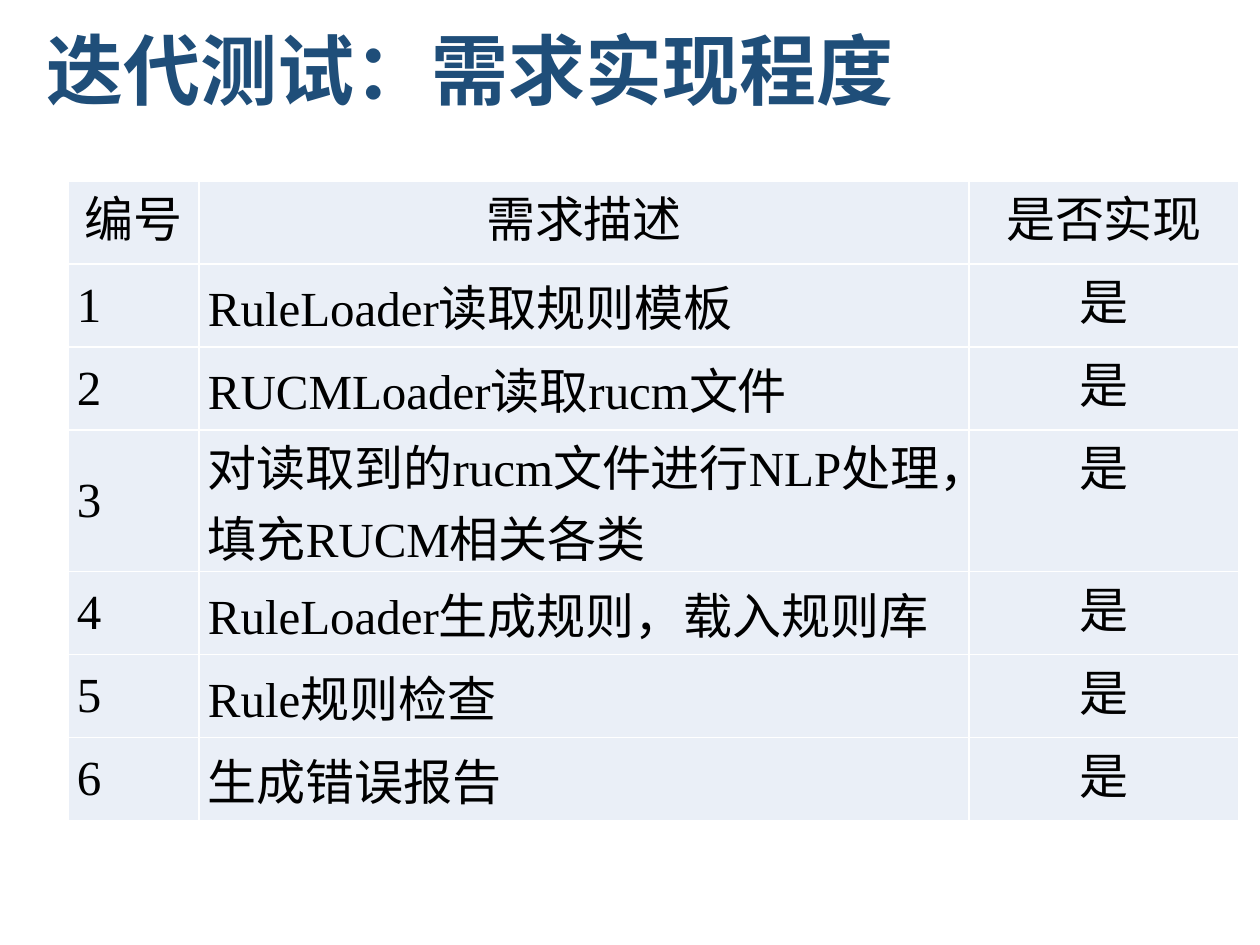
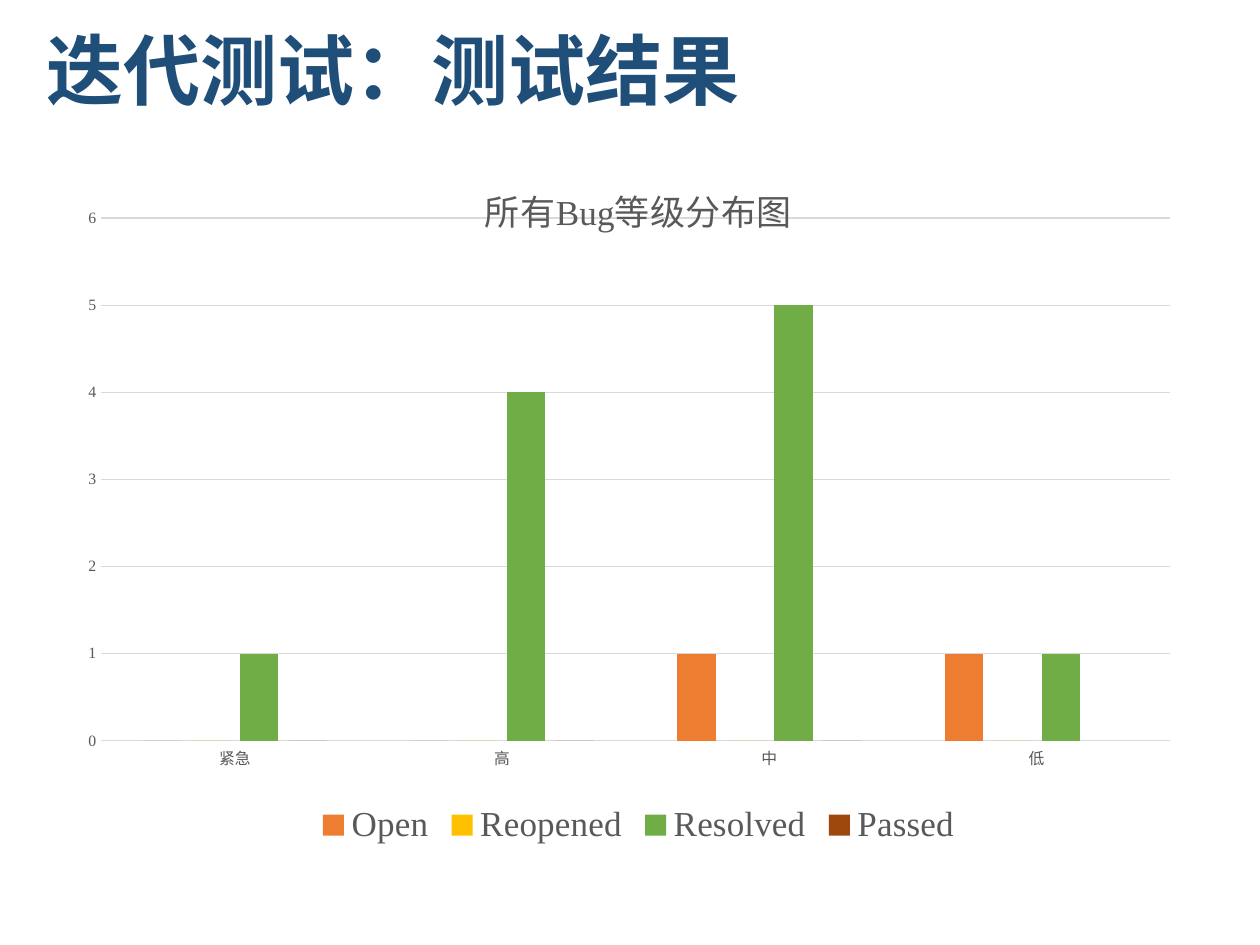
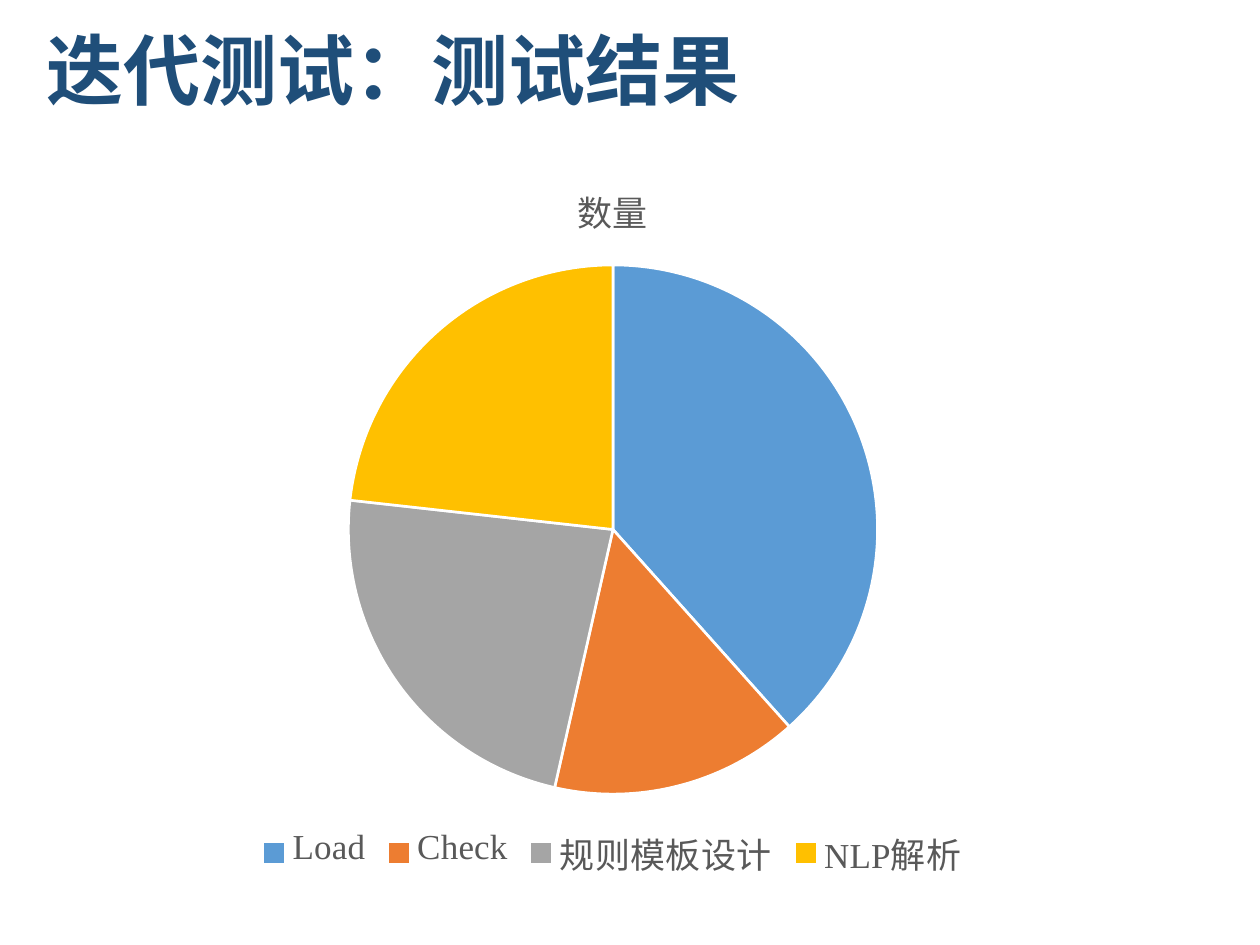
from lxml import etree
from pptx import Presentation
from pptx.chart.data import CategoryChartData
from pptx.dml.color import RGBColor
from pptx.enum.chart import XL_CHART_TYPE, XL_LEGEND_POSITION, XL_TICK_MARK
from pptx.enum.text import MSO_ANCHOR, PP_ALIGN
from pptx.oxml.ns import qn
from pptx.util import Emu, Pt

COLUMN_CLUSTERED = XL_CHART_TYPE.COLUMN_CLUSTERED
PIE = XL_CHART_TYPE.PIE
LEGEND_BOTTOM = XL_LEGEND_POSITION.BOTTOM
NO_TICK = XL_TICK_MARK.NONE
MIDDLE, TOP = MSO_ANCHOR.MIDDLE, MSO_ANCHOR.TOP
LEFT, CENTER = PP_ALIGN.LEFT, PP_ALIGN.CENTER

PIXELS_PER_INCH = 126
FONT = "Times New Roman"
TITLE_ONLY_LAYOUT = 5
COLORS = {
    "title": "1F4E79",
    "text": "000000",
    "chart_text": "595959",
    "grid": "D9D9D9",
    "cell": "EAEFF7",
    "white": "FFFFFF",
    "blue": "5B9BD5",
    "orange": "ED7D31",
    "gray": "A5A5A5",
    "yellow": "FFC000",
    "green": "70AD47",
    "brown": "9E480E",
}

REQUIREMENTS = [
    "RuleLoader读取规则模板",
    "RUCMLoader读取rucm文件",
    "对读取到的rucm文件进行NLP处理，填充RUCM相关各类",
    "RuleLoader生成规则，载入规则库",
    "Rule规则检查",
    "生成错误报告",
]
BUG_LEVELS = ["紧急", "高", "中", "低"]
BUG_SERIES = [
    ("Open", [0, 0, 1, 1], "orange"),
    ("Reopened", [0, 0, 0, 0], "yellow"),
    ("Resolved", [1, 4, 5, 1], "green"),
    ("Passed", [0, 0, 0, None], "brown"),
]
BUG_SOURCES = [
    ("Load", 38, "blue"),
    ("Check", 15, "orange"),
    ("规则模板设计", 23, "gray"),
    ("NLP解析", 23, "yellow"),
]


def px(length):
    return Emu(round(length * 914400 / PIXELS_PER_INCH))


def rgb(name):
    return RGBColor.from_string(COLORS[name])


def set_font(font, size, color, bold=False):
    font.name = FONT
    font.size = Pt(size)
    font.bold = bold
    font.color.rgb = rgb(color)


def set_line(line, color, width):
    line.color.rgb = rgb(color)
    line.width = Pt(width)


def add_titled_slide(presentation, text):
    slide = presentation.slides.add_slide(presentation.slide_layouts[TITLE_ONLY_LAYOUT])
    title = slide.shapes.title
    title.left, title.top, title.width, title.height = map(px, (34, -4, 1171, 158))
    title.text_frame.text = text
    title.text_frame.vertical_anchor = MIDDLE
    paragraph = title.text_frame.paragraphs[0]
    paragraph.alignment = LEFT
    paragraph.line_spacing = 0.9
    set_font(paragraph.font, 44, "title", bold=True)
    return slide


def add_cell_borders(cell, color, width):
    properties = cell._tc.get_or_add_tcPr()
    for side in ("lnL", "lnR", "lnT", "lnB"):
        line = etree.SubElement(properties, qn(f"a:{side}"), w=str(Pt(width)))
        fill = etree.SubElement(line, qn("a:solidFill"))
        etree.SubElement(fill, qn("a:srgbClr"), val=COLORS[color])


def fill_cell(cell, text, alignment, anchor):
    add_cell_borders(cell, "white", 1)
    cell.fill.solid()
    cell.fill.fore_color.rgb = rgb("cell")
    cell.margin_left = cell.margin_right = px(9)
    cell.margin_top = cell.margin_bottom = 0
    cell.vertical_anchor = anchor
    cell.text = text
    paragraph = cell.text_frame.paragraphs[0]
    paragraph.alignment = alignment
    set_font(paragraph.font, 28, "text")


def add_requirement_table(slide):
    rows = [("编号", "需求描述", "是否实现")]
    rows += [(str(number), text, "是") for number, text in enumerate(REQUIREMENTS, 1)]
    widths = [131, 770, 270]
    heights = [83, 83, 83, 125, 83, 83, 83]
    table = slide.shapes.add_table(
        len(rows), len(widths), px(68), px(181), px(sum(widths)), px(sum(heights))
    ).table
    table.first_row = table.horz_banding = False
    for column, width in zip(table.columns, widths):
        column.width = px(width)
    for row, height in zip(table.rows, heights):
        row.height = px(height)
    for row_index, values in enumerate(rows):
        for column_index, text in enumerate(values):
            centered = row_index == 0 or column_index == len(widths) - 1
            fill_cell(
                table.cell(row_index, column_index),
                text,
                CENTER if centered else LEFT,
                TOP if centered else MIDDLE,
            )


def add_chart(slide, kind, bounds, categories, series, title):
    """Add a chart with the shared title, legend and font settings."""
    data = CategoryChartData()
    data.categories = categories
    for name, values in series:
        data.add_series(name, values)
    chart = slide.shapes.add_chart(kind, *map(px, bounds), data).chart
    set_font(chart.font, 10, "text")
    chart.has_title = True
    chart.chart_title.include_in_layout = False
    chart.chart_title.text_frame.text = title
    set_font(chart.chart_title.text_frame.paragraphs[0].font, 20, "chart_text")
    chart.has_legend = True
    chart.legend.position = LEGEND_BOTTOM
    chart.legend.include_in_layout = False
    set_font(chart.legend.font, 20, "chart_text")
    return chart


def set_plot_area(chart, left, top, width, height):
    """Fix the inner plot area, as fractions of the chart."""
    plot_area = chart._chartSpace.chart.plotArea
    for layout in plot_area.findall(qn("c:layout")):
        plot_area.remove(layout)
    layout = etree.Element(qn("c:layout"))
    plot_area.insert(0, layout)
    manual = etree.SubElement(layout, qn("c:manualLayout"))
    settings = [("layoutTarget", "inner"), ("xMode", "edge"), ("yMode", "edge"),
                ("x", left), ("y", top), ("w", width), ("h", height)]
    for tag, value in settings:
        etree.SubElement(manual, qn(f"c:{tag}"), val=str(value))


def add_bug_level_chart(slide):
    series = [(name, values) for name, values, _ in BUG_SERIES]
    chart = add_chart(slide, COLUMN_CLUSTERED, (73, 154, 1131, 698),
                      BUG_LEVELS, series, "所有Bug等级分布图")
    set_plot_area(chart, 0.025, 0.092, 0.945, 0.749)
    plot = chart.plots[0]
    plot.vary_by_categories = False
    plot.gap_width = 219
    plot.overlap = -27
    for bars, (_, _, color) in zip(plot.series, BUG_SERIES):
        bars.format.fill.solid()
        bars.format.fill.fore_color.rgb = rgb(color)
    for axis in (chart.category_axis, chart.value_axis):
        axis.major_tick_mark = axis.minor_tick_mark = NO_TICK
        set_font(axis.tick_labels.font, 9, "chart_text")
    set_line(chart.category_axis.format.line, "grid", 0.75)
    value_axis = chart.value_axis
    value_axis.minimum_scale, value_axis.maximum_scale = 0, 6
    value_axis.major_unit = 1
    value_axis.format.line.fill.background()
    set_line(value_axis.major_gridlines.format.line, "grid", 0.75)


def add_bug_source_chart(slide):
    categories, values, colors = zip(*BUG_SOURCES)
    chart = add_chart(slide, PIE, (0, 154, 1226, 732),
                      categories, [("数量", values)], "数量")
    plot = chart.plots[0]
    plot.vary_by_categories = True
    for index, color in enumerate(colors):
        point_format = plot.series[0].points[index].format
        point_format.fill.solid()
        point_format.fill.fore_color.rgb = rgb(color)
        set_line(point_format.line, "white", 1.5)


def main():
    presentation = Presentation()
    presentation.slide_width, presentation.slide_height = px(1260), px(945)
    add_requirement_table(add_titled_slide(presentation, "迭代测试：需求实现程度"))
    add_bug_level_chart(add_titled_slide(presentation, "迭代测试：测试结果"))
    add_bug_source_chart(add_titled_slide(presentation, "迭代测试：测试结果"))
    presentation.save("out.pptx")


if __name__ == "__main__":
    main()
